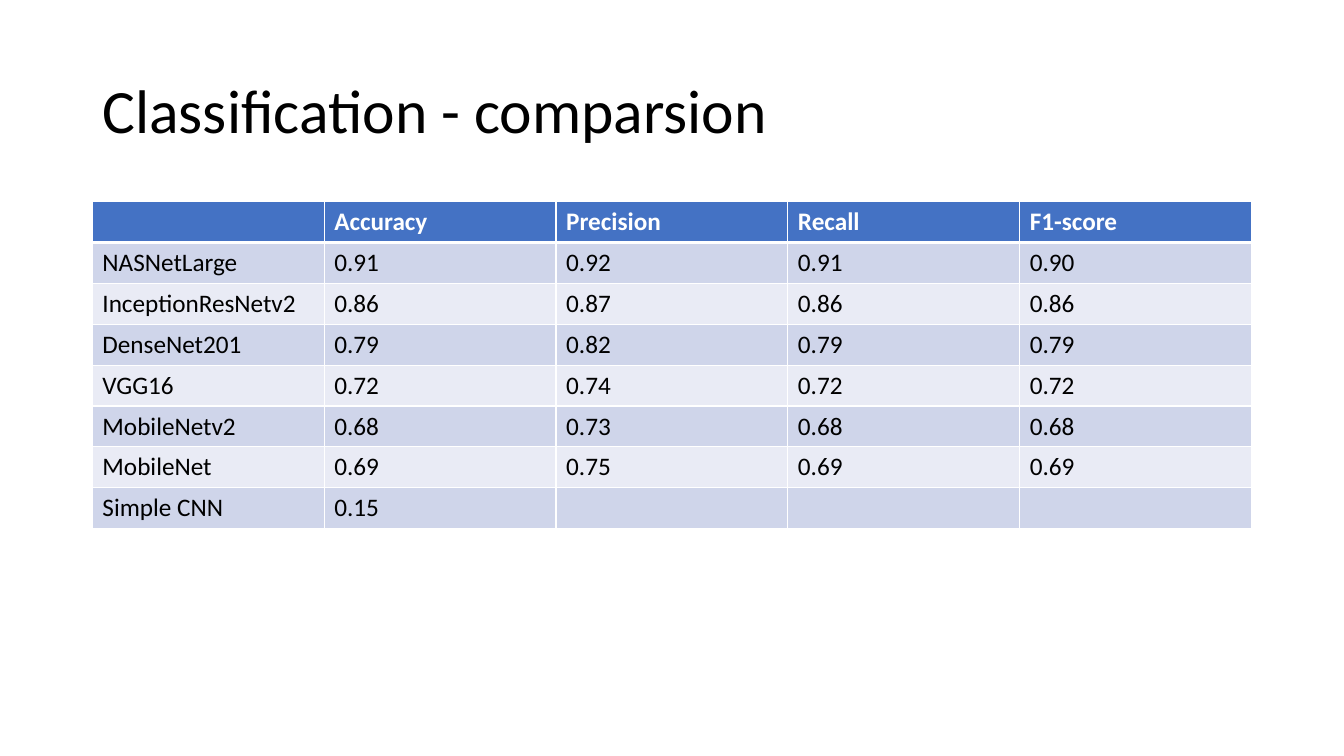
from dataclasses import dataclass
from typing import NamedTuple

from lxml import etree
from pptx import Presentation
from pptx.dml.color import RGBColor
from pptx.enum.text import MSO_ANCHOR, PP_ALIGN
from pptx.oxml.ns import qn
from pptx.util import Pt

MIDDLE = MSO_ANCHOR.MIDDLE
LEFT = PP_ALIGN.LEFT
TITLE_ONLY = 5


@dataclass(frozen=True)
class Theme:
    font: str = "Calibri"
    title_size: float = 44
    cell_size: float = 18
    text: str = "000000"
    header_text: str = "FFFFFF"
    header_fill: str = "4472C4"
    bands: tuple[str, str] = ("CFD5EA", "E9EBF5")
    border: str = "FFFFFF"
    border_width: float = 1
    header_rule: float = 3


class Box(NamedTuple):
    left: float
    top: float
    width: float
    height: float


class Score(NamedTuple):
    model: str
    accuracy: str
    precision: str = ""
    recall: str = ""
    f1: str = ""


THEME = Theme()
TITLE_BOX = Box(66, 28.8, 828, 104.4)
TABLE_BOX = Box(66, 144, 828, 233.6)
HEADER = Score("", "Accuracy", "Precision", "Recall", "F1-score")
SCORES = [
    Score("NASNetLarge", "0.91", "0.92", "0.91", "0.90"),
    Score("InceptionResNetv2", "0.86", "0.87", "0.86", "0.86"),
    Score("DenseNet201", "0.79", "0.82", "0.79", "0.79"),
    Score("VGG16", "0.72", "0.74", "0.72", "0.72"),
    Score("MobileNetv2", "0.68", "0.73", "0.68", "0.68"),
    Score("MobileNet", "0.69", "0.75", "0.69", "0.69"),
    Score("Simple CNN", "0.15"),
]


def style_text(tf, size: float, color: str, bold: bool = False) -> None:
    for p in tf.paragraphs:
        p.alignment = LEFT
        for r in p.runs:
            r.font.name = THEME.font
            r.font.size = Pt(size)
            r.font.bold = bold
            r.font.color.rgb = RGBColor.from_string(color)


def add_borders(cell, top: float, bottom: float) -> None:
    tc_pr = cell._tc.get_or_add_tcPr()
    side = THEME.border_width
    widths = {"a:lnL": side, "a:lnR": side, "a:lnT": top, "a:lnB": bottom}
    for tag, width in widths.items():
        ln = etree.SubElement(tc_pr, qn(tag), w=str(Pt(width)))
        fill = etree.SubElement(ln, qn("a:solidFill"))
        etree.SubElement(fill, qn("a:srgbClr"), val=THEME.border)


def add_title(slide, text: str, box: Box) -> None:
    sp = slide.shapes.title
    sp.left, sp.top, sp.width, sp.height = map(Pt, box)
    tf = sp.text_frame
    tf.text = text
    tf.word_wrap = True
    tf.vertical_anchor = MIDDLE
    tf.paragraphs[0].line_spacing = 0.9
    style_text(tf, THEME.title_size, THEME.text)


def add_score_table(slide, scores: list[Score], box: Box) -> None:
    rows = [HEADER, *scores]
    table = slide.shapes.add_table(len(rows), len(HEADER), *map(Pt, box)).table
    for column in table.columns:
        column.width = Pt(box.width / len(HEADER))
    for i, score in enumerate(rows):
        table.rows[i].height = Pt(box.height / len(rows))
        is_header = i == 0
        fill = THEME.header_fill if is_header else THEME.bands[(i - 1) % 2]
        color = THEME.header_text if is_header else THEME.text
        top = THEME.header_rule if i == 1 else THEME.border_width
        bottom = THEME.header_rule if is_header else THEME.border_width
        for cell, text in zip(table.rows[i].cells, score):
            add_borders(cell, top, bottom)
            cell.fill.solid()
            cell.fill.fore_color.rgb = RGBColor.from_string(fill)
            cell.text_frame.text = text
            style_text(cell.text_frame, THEME.cell_size, color, is_header)


def main() -> None:
    prs = Presentation()
    prs.slide_width, prs.slide_height = Pt(960), Pt(540)
    slide = prs.slides.add_slide(prs.slide_layouts[TITLE_ONLY])
    add_title(slide, "Classification - comparsion", TITLE_BOX)
    add_score_table(slide, SCORES, TABLE_BOX)
    prs.save("out.pptx")


main()
